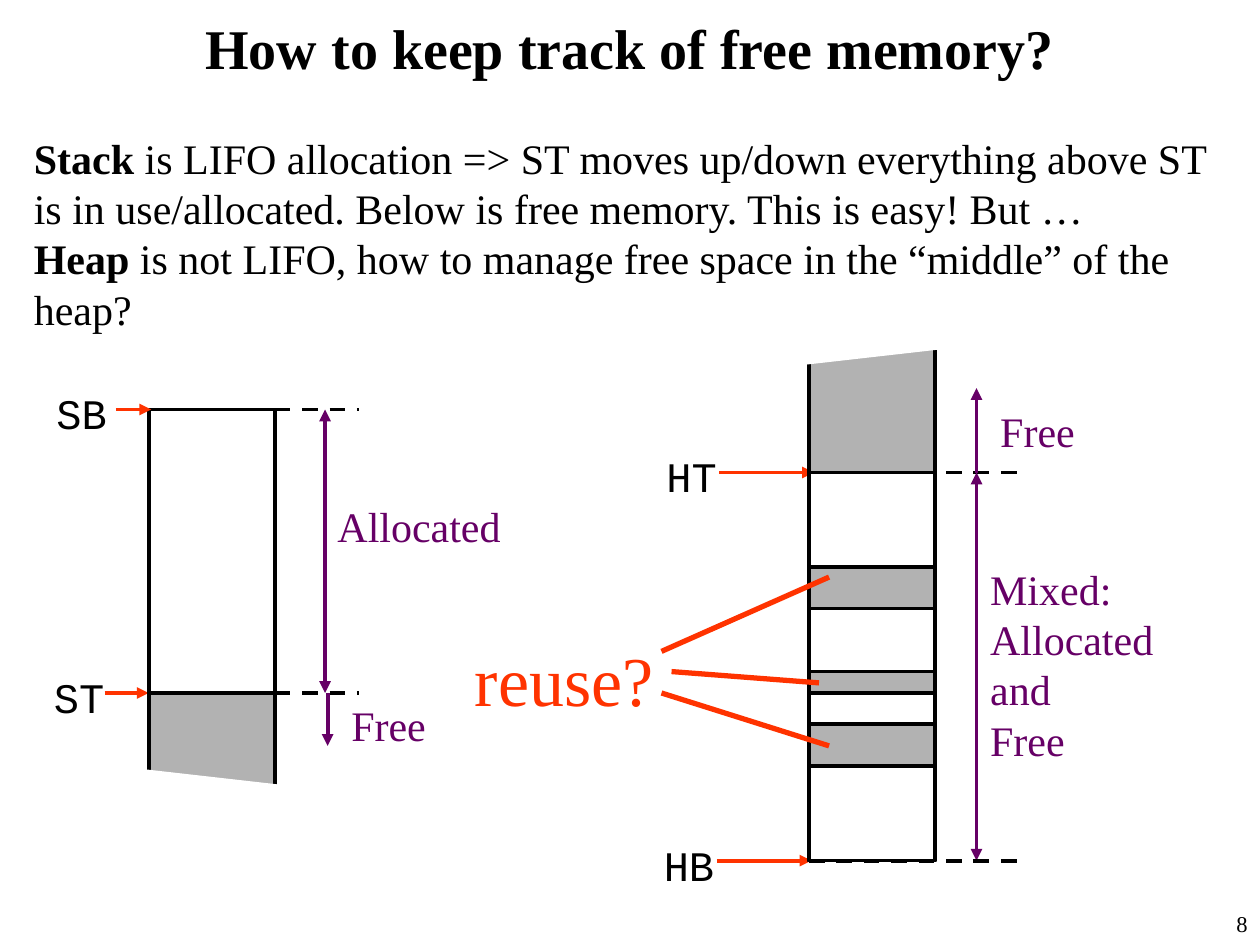
from lxml.etree import SubElement as Sub
from pptx import Presentation
from pptx.dml.color import RGBColor
from pptx.enum.dml import MSO_LINE as Dash
from pptx.enum.shapes import MSO_CONNECTOR as Conn, MSO_SHAPE as Kind
from pptx.enum.text import MSO_ANCHOR as Anchor, MSO_AUTO_SIZE as Auto, PP_ALIGN as Align
from pptx.oxml.ns import qn
from pptx.util import Inches, Pt

BLACK, WHITE, GREY = "000000", "FFFFFF", "B2B2B2"
RED, PURPLE = "FF3300", "660066"
SERIF, MONO = "Times New Roman", "Courier New"


def paint(form, color):
    if hasattr(form, "solid"):
        form.solid()
        form = form.fore_color
    form.rgb = RGBColor.from_string(color)


class Board:
    def __init__(self, slide):
        self.slide = slide
        self.shapes = slide.shapes
        self.width = Pt(2.25)

    def text(self, box, paras, color=BLACK, size=24, font=SERIF,
             align=Align.LEFT, wrap=False, grow=True, anchor=Anchor.TOP):
        frame = self.shapes.add_textbox(*map(Inches, box)).text_frame
        frame.word_wrap = wrap
        frame.auto_size = Auto.SHAPE_TO_FIT_TEXT if grow else Auto.NONE
        frame.vertical_anchor = anchor
        for i, runs in enumerate(paras):
            para = frame.add_paragraph() if i else frame.paragraphs[0]
            para.alignment = align
            for words, bold in runs:
                run = para.add_run()
                run.text = words
                run.font.name = font
                run.font.size = Pt(size)
                run.font.bold = bold
                paint(run.font.color, color)

    def label(self, box, *lines, **style):
        self.text(box, [[(line, False)] for line in lines], **style)

    def rect(self, x, top, end, fill):
        box = self.shapes.add_shape(
            Kind.RECTANGLE, Inches(x), Inches(top), Inches(1), Inches(end - top))
        box.shadow.inherit = False
        paint(box.fill, fill)
        paint(box.line.fill, BLACK)
        box.line.width = self.width

    def mask(self, points):
        start, *rest = [(Inches(x), Inches(y)) for x, y in points]
        build = self.shapes.build_freeform(*start)
        build.add_line_segments(rest, close=True)
        shape = build.convert_to_shape()
        shape.shadow.inherit = False
        paint(shape.fill, WHITE)
        shape.line.fill.background()

    def line(self, start, end, color, heads=(), dash=False, width=None):
        line = self.shapes.add_connector(
            Conn.STRAIGHT, *map(Inches, (*start, *end)))
        paint(line.line.fill, color)
        line.line.width = width or self.width
        if dash:
            line.line.dash_style = Dash.DASH
        pen = line.line._get_or_add_ln()
        for side in heads:
            Sub(pen, qn(f"a:{side}End"), type="triangle")
        Sub(line._element.spPr, qn("a:effectLst"))

    def arrow(self, start, end, color, both=False):
        self.line(start, end, color, ("head", "tail") if both else ("tail",))

    def level(self, x, end, y):
        self.line((x, y), (end, y), BLACK, dash=True)

    def mark(self, name, x, y, start, end):
        self.label((x, y - 0.22, 0.6, 0.5), name, font=MONO)
        self.arrow((start, y), (end, y), RED)


def stack(board):
    x, base, top = 1.18, 3.25, 5.5
    board.level(x + 1, 2.85, top)
    board.arrow((2.6, top), (2.6, 5.92), PURPLE)
    board.label((2.58, 3.92, 1.52, 0.5), "Allocated", color=PURPLE)
    board.rect(x, base, 6.33, GREY)
    board.mark("ST", 0.33, top, 0.83, x)
    board.rect(x, base, top, WHITE)
    board.mark("SB", 0.35, base, 0.92, 1.2)
    board.mask([(0.92, 6.08), (2.42, 6.25), (2.42, 6.42), (0.92, 6.42)])
    board.arrow((2.58, top), (2.58, base), PURPLE, both=True)
    board.level(x + 1, 2.85, base)
    board.label((2.69, 5.5, 0.8, 0.5), "Free", color=PURPLE)


def heap(board):
    x, top, base = 6.42, 3.75, 6.83
    board.mark("HB", 5.17, base, 5.69, 6.44)
    board.mark("HT", 5.19, top, 5.71, 6.46)
    board.level(x, 8.08, top)
    board.rect(x, 2.67, base, GREY)
    board.mask([(6.17, 2.92), (7.67, 2.75), (7.67, 2.58), (6.17, 2.58)])
    for start, end in ((top, 4.5), (4.83, 5.33), (6.08, base), (5.5, 5.75)):
        board.rect(x, start, end, WHITE)
    board.arrow((7.75, top), (7.75, 3.08), PURPLE)
    board.label((7.84, 3.17, 0.8, 0.5), "Free", color=PURPLE)
    board.label((7.76, 4.42, 1.52, 1.7),
                "Mixed:", "Allocated", "and", "Free", color=PURPLE)
    board.arrow((7.75, base), (7.75, top), PURPLE, both=True)
    for start, end in (((6.58, 4.58), (5.25, 5.17)),
                       ((6.5, 5.42), (5.33, 5.33)),
                       ((6.58, 5.92), (5.25, 5.5))):
        board.line(start, end, RED, width=Pt(3))
    board.label((3.67, 5, 1.65, 0.77), "reuse?", color=RED, size=40, wrap=True)
    board.level(x, 8.08, base)


def main():
    deck = Presentation()
    deck.slide_width, deck.slide_height = Inches(10), Inches(7.5)
    board = Board(deck.slides.add_slide(deck.slide_layouts[6]))
    board.label((9.25, 7.17, 0.75, 0.33), "8", size=12.9,
                align=Align.RIGHT, wrap=True, grow=False)
    board.text((0, 0, 10, 0.75), [[("How to keep track of free memory?", True)]],
               size=32, align=Align.CENTER, wrap=True, grow=False,
               anchor=Anchor.MIDDLE)
    board.text((0.17, 1, 9.58, 1.7), [
        [("Stack ", True),
         ("is LIFO allocation => ST moves up/down everything above ST is in "
          "use/allocated. Below is free memory. This is easy! But …", False)],
        [("Heap", True),
         (" is not LIFO, how to manage free space in the “middle” of the heap?",
          False)],
    ], wrap=True)
    stack(board)
    heap(board)
    deck.save("out.pptx")


if __name__ == "__main__":
    main()
